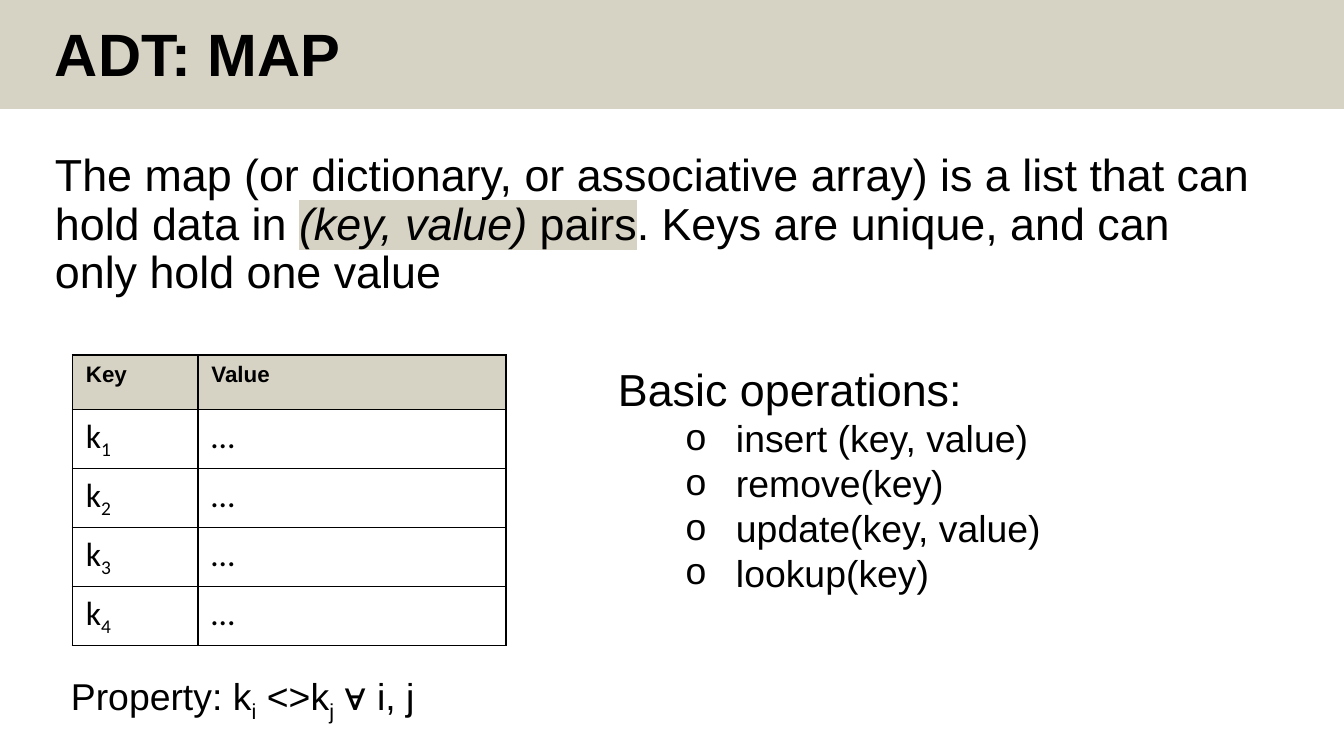
from dataclasses import dataclass

from lxml.etree import SubElement
from pptx import Presentation
from pptx.dml.color import RGBColor
from pptx.enum.shapes import MSO_SHAPE
from pptx.enum.text import MSO_ANCHOR, MSO_AUTO_SIZE
from pptx.oxml.ns import qn
from pptx.util import Cm, Pt


@dataclass(frozen=True)
class Theme:
    """Colours, fonts and type sizes of the slide."""
    ink: str = "000000"
    sand: str = "D6D2C4"
    font: str = "Arial"
    table_font: str = "Calibri"
    title: int = 32
    body: int = 24
    detail: int = 20
    key: int = 18
    header: int = 12


THEME = Theme()


def add_run(paragraph, text, size, font=THEME.font, bold=False, italic=False,
            subscript=False, highlight=False):
    """Add one styled run to a paragraph."""
    run = paragraph.add_run()
    run.text = text
    run.font.size = Pt(size)
    run.font.bold = bold
    run.font.italic = italic
    run.font.color.rgb = RGBColor.from_string(THEME.ink)
    properties = run.font._element
    if highlight:
        marker = SubElement(properties, qn("a:highlight"))
        SubElement(marker, qn("a:srgbClr"), val=THEME.sand)
    if subscript:
        properties.set("baseline", "-25000")
    run.font.name = font


def add_text_box(slide, left, top, width, height, wrap=True):
    """Add an empty text box and return its text frame."""
    shape = slide.shapes.add_textbox(Cm(left), Cm(top), Cm(width), Cm(height))
    frame = shape.text_frame
    frame.word_wrap = wrap
    frame.auto_size = MSO_AUTO_SIZE.NONE if wrap else MSO_AUTO_SIZE.SHAPE_TO_FIT_TEXT
    return frame


def add_band(slide, width, height):
    """Add the plain band across the top of the slide."""
    band = slide.shapes.add_shape(MSO_SHAPE.RECTANGLE, 0, 0, width, Cm(height))
    band.shadow.inherit = False
    band.fill.solid()
    band.fill.fore_color.rgb = RGBColor.from_string(THEME.sand)
    band.line.fill.background()


def add_title(slide, text):
    """Add the slide title inside the band."""
    frame = add_text_box(slide, 0.79, 0.41, 19.56, 1.35)
    frame.vertical_anchor = MSO_ANCHOR.MIDDLE
    paragraph = frame.paragraphs[0]
    paragraph.line_spacing = 0.9
    add_run(paragraph, text, THEME.title, bold=True)


def add_definition(slide):
    """Add the definition with its highlighted phrase."""
    paragraph = add_text_box(slide, 0.79, 2.77, 23.22, 10.41).paragraphs[0]
    paragraph.line_spacing = 0.9
    add_run(paragraph, "The map (or dictionary, or associative array) is a list "
            "that can hold data in ", THEME.body)
    add_run(paragraph, "(key, value)", THEME.body, italic=True, highlight=True)
    add_run(paragraph, " pairs", THEME.body, highlight=True)
    add_run(paragraph, ". Keys are unique, and can only hold one value", THEME.body)


def style_cell(cell, filled):
    """Give a cell its black borders and its fill."""
    properties = cell._tc.get_or_add_tcPr()
    for side in ("lnL", "lnR", "lnT", "lnB"):
        border = SubElement(properties, qn(f"a:{side}"), w=str(Pt(1)))
        color = SubElement(border, qn("a:solidFill"))
        SubElement(color, qn("a:srgbClr"), val=THEME.ink)
    if filled:
        cell.fill.solid()
        cell.fill.fore_color.rgb = RGBColor.from_string(THEME.sand)
    else:
        cell.fill.background()


def add_key_table(slide, headers, indices):
    """Add the table of keys and values."""
    row_count, widths, row_height = len(indices) + 1, (2.37, 5.82), 1.03
    table = slide.shapes.add_table(
        row_count, len(headers), Cm(1.37), Cm(6.71),
        Cm(sum(widths)), Cm(row_height * row_count)).table
    table.horz_banding = False
    for column, width in zip(table.columns, widths):
        column.width = Cm(width)
    for row in table.rows:
        row.height = Cm(row_height)
    for number, header in enumerate(headers):
        add_run(table.cell(0, number).text_frame.paragraphs[0], header,
                THEME.header, bold=True)
    for row, index in enumerate(indices, start=1):
        key, value = (table.cell(row, column).text_frame.paragraphs[0]
                      for column in range(2))
        add_run(key, "k", THEME.key, THEME.table_font)
        add_run(key, index, THEME.key, THEME.table_font, subscript=True)
        add_run(value, "…", THEME.key, THEME.table_font)
    for row in range(row_count):
        for column in range(len(headers)):
            style_cell(table.cell(row, column), filled=row == 0)


def add_operations(slide, heading, operations):
    """Add a heading followed by bulleted operations."""
    frame = add_text_box(slide, 11.43, 6.71, 8.56, 4.7, wrap=False)
    add_run(frame.paragraphs[0], heading, THEME.body)
    for operation in operations:
        paragraph = frame.add_paragraph()
        paragraph.level = 1
        properties = paragraph._p.get_or_add_pPr()
        properties.set("marL", str(Cm(2.23)))
        properties.set("indent", str(Cm(-0.95)))
        SubElement(properties, qn("a:buFont"), typeface=THEME.font)
        SubElement(properties, qn("a:buChar"), char="o")
        add_run(paragraph, operation, THEME.detail)


def add_property(slide):
    """Add the uniqueness property of the keys."""
    paragraph = add_text_box(slide, 1.09, 12.6, 7.09, 1.12, wrap=False).paragraphs[0]
    for text, subscript in (("Property: k", False), ("i", True), (" <>k", False),
                            ("j", True), (" ∀ i, j", False)):
        add_run(paragraph, text, THEME.detail, subscript=subscript)


def main():
    """Build the slide and save it."""
    presentation = Presentation()
    presentation.slide_width = Cm(25.4)
    presentation.slide_height = Cm(14.29)
    slide = presentation.slides.add_slide(presentation.slide_layouts[6])
    add_band(slide, presentation.slide_width, 2.06)
    add_title(slide, "ADT: MAP")
    add_definition(slide)
    add_key_table(slide, ("Key", "Value"), "1234")
    add_operations(slide, "Basic operations:", (
        "insert (key, value)", "remove(key)", "update(key, value)", "lookup(key)"))
    add_property(slide)
    presentation.save("out.pptx")


if __name__ == "__main__":
    main()
